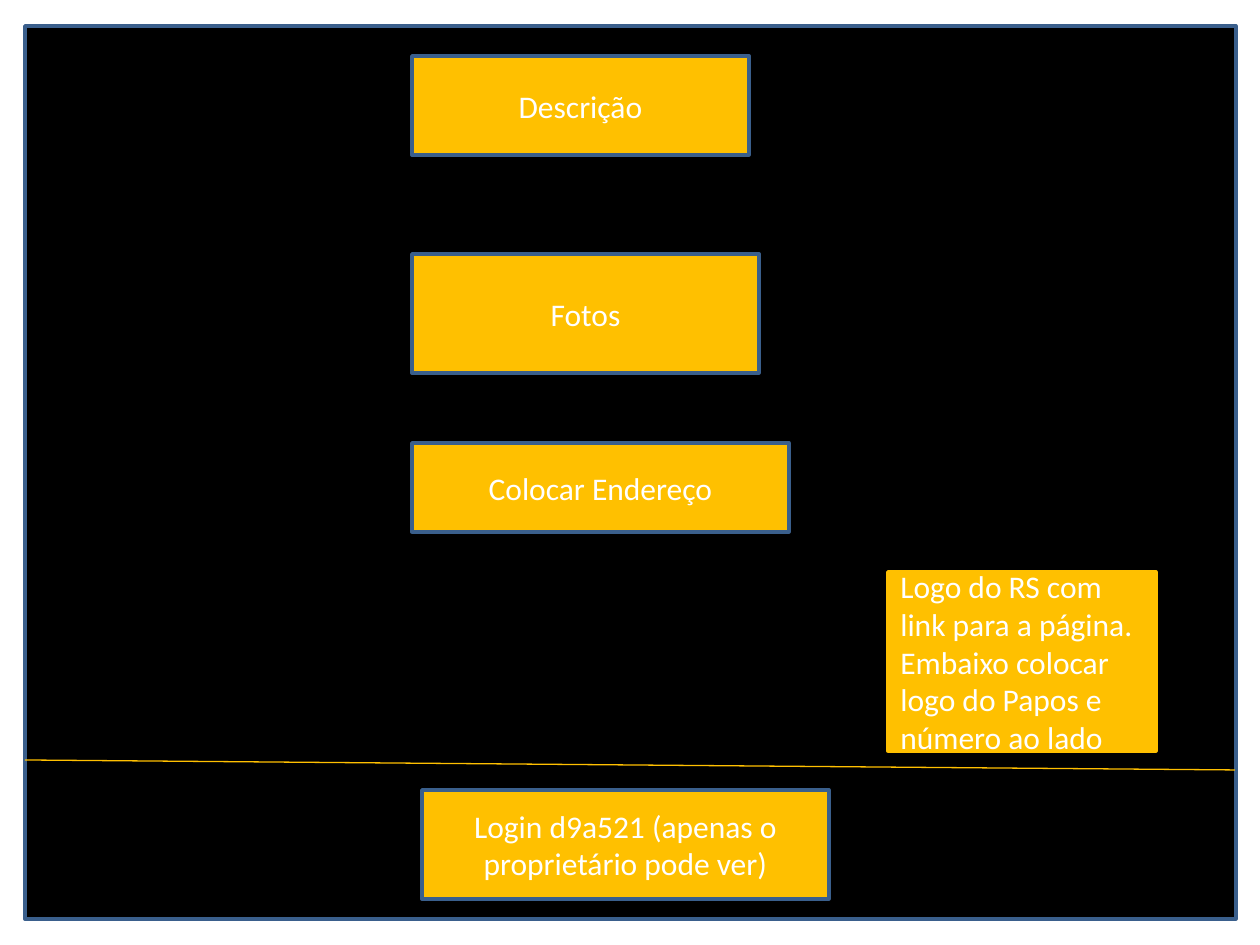
from lxml import etree
from pptx import Presentation
from pptx import util as u
from pptx.dml.color import RGBColor
from pptx.enum import shapes, text
from pptx.oxml.ns import qn

PX = 914400 // 126
BLACK, GOLD, BLUE, WHITE = "000000", "FFC000", "3A5F8C", "FFFFFF"
LEFT, CENTER = text.PP_ALIGN.LEFT, text.PP_ALIGN.CENTER

PAGE = (25, 26, 1211, 893)
FOOTER_RULE = (25, 760, 1235, 770)
# box in px, outline, alignment, paragraphs
BLOCKS = [
    ((888, 572, 268, 179), GOLD, LEFT,
     ["Logo do RS com link para a página.",
      "Embaixo colocar logo do Papos e número ao lado"]),
    ((422, 790, 407, 109), BLUE, CENTER,
     ["Login d9a521 (apenas o proprietário pode ver)"]),
    ((412, 56, 337, 99), BLUE, CENTER, ["Descrição"]),
    ((412, 254, 347, 119), BLUE, CENTER, ["Fotos"]),
    ((412, 443, 377, 89), BLUE, CENTER, ["Colocar Endereço"]),
]
FONT = {"name": "Calibri", "size": u.Pt(18)}


def color(value):
    return RGBColor.from_string(value)


def emu(lengths):
    return [length * PX for length in lengths]


def style_line(line, line_color, points):
    line.color.rgb = color(line_color)
    line.width = u.Pt(points)


def add_box(slide, box, fill, outline):
    shape = slide.shapes.add_shape(shapes.MSO_SHAPE.RECTANGLE, *emu(box))
    shape.shadow.inherit = False
    shape.fill.solid()
    shape.fill.fore_color.rgb = color(fill)
    style_line(shape.line, outline, 2)
    return shape


def write(shape, lines, alignment):
    frame = shape.text_frame
    frame.word_wrap = True
    frame.vertical_anchor = text.MSO_ANCHOR.MIDDLE
    frame.text = "\n".join(lines)
    for paragraph in frame.paragraphs:
        paragraph.alignment = alignment
        font = paragraph.runs[0].font
        for name, value in FONT.items():
            setattr(font, name, value)
        font.color.rgb = color(WHITE)


def add_rule(slide, ends):
    rule = slide.shapes.add_connector(shapes.MSO_CONNECTOR.STRAIGHT, *emu(ends))
    style_line(rule.line, GOLD, 0.75)
    etree.SubElement(rule._element.spPr, qn("a:effectLst"))


def main():
    presentation = Presentation()
    presentation.slide_width, presentation.slide_height = u.Inches(10), u.Inches(7.5)
    slide = presentation.slides.add_slide(presentation.slide_layouts[6])
    add_box(slide, PAGE, BLACK, BLUE)
    for box, outline, alignment, lines in BLOCKS:
        write(add_box(slide, box, GOLD, outline), lines, alignment)
    add_rule(slide, FOOTER_RULE)
    presentation.save("out.pptx")


if __name__ == "__main__":
    main()
